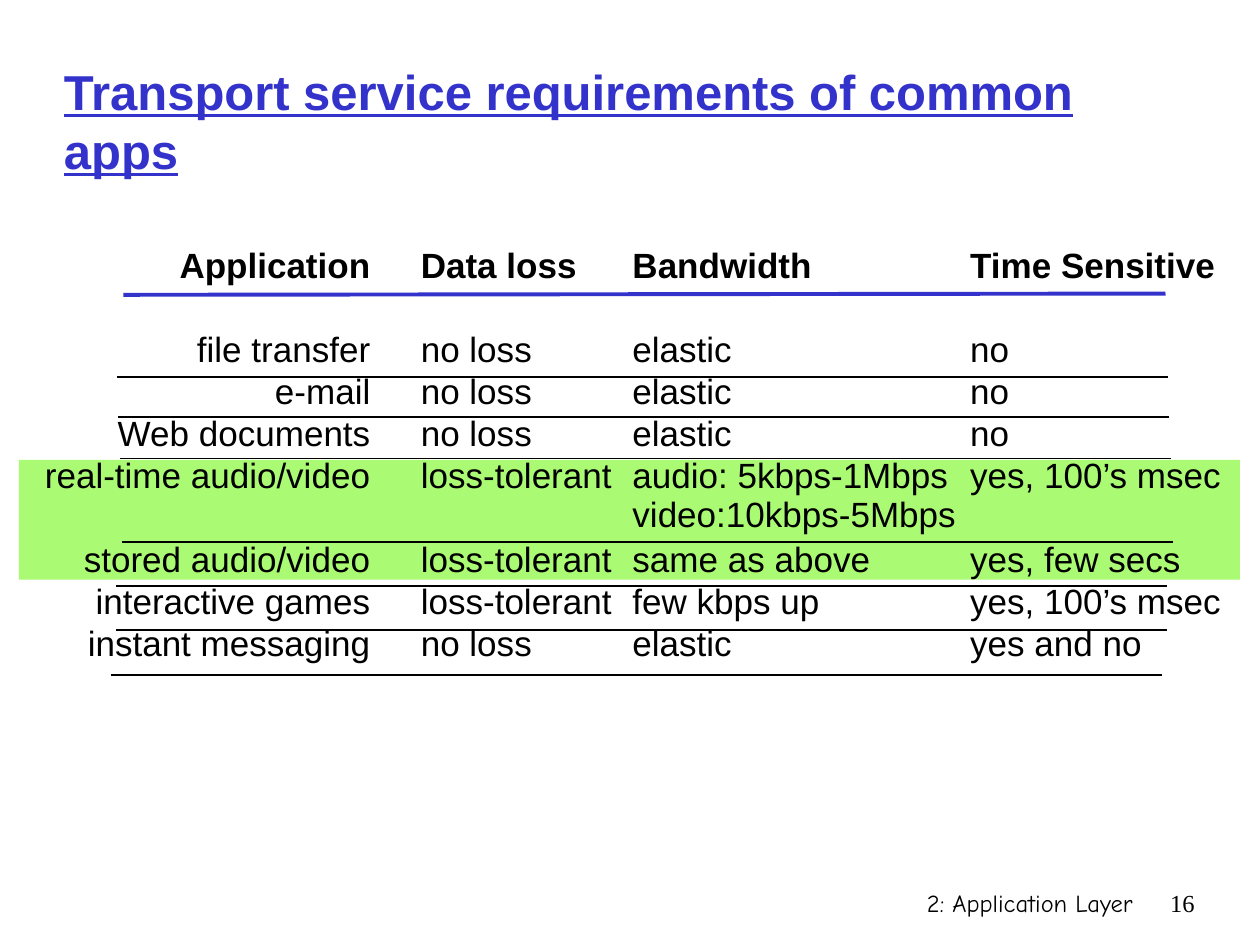
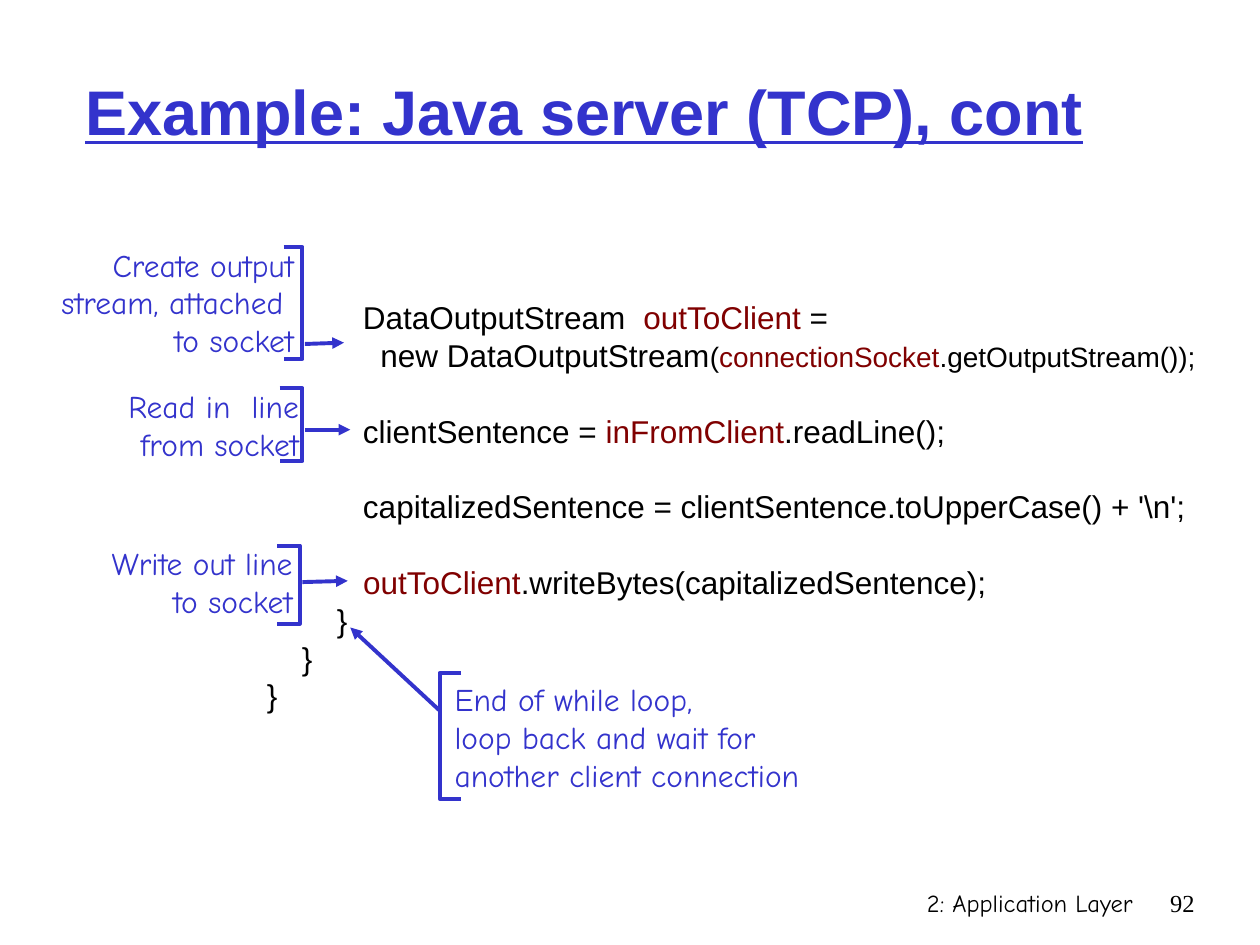
from lxml.etree import SubElement
from pptx import Presentation
from pptx.dml.color import RGBColor
from pptx.enum.shapes import MSO_CONNECTOR as Connector, MSO_SHAPE as Shape
from pptx.enum.text import MSO_ANCHOR as Anchor, PP_ALIGN as Align
from pptx.oxml.ns import qn
from pptx.util import Inches, Pt

COLORS = {
    "blue": "3333CC",
    "black": "000000",
    "green": "AAFA73",
    "maroon": "800000",
}
BODY_FONT = "Arial"
NOTE_FONT = "Comic Neue"
NUMBER_FONT = "Times New Roman"
ROW_HEIGHT = 0.333
CODE_SIZE = 18
BLANK_LINE = Pt(CODE_SIZE * 1.2)

REQUIREMENTS = [
    ("Application", "Data loss", "Bandwidth", "Time Sensitive"),
    ("file transfer", "no loss", "elastic", "no"),
    ("e-mail", "no loss", "elastic", "no"),
    ("Web documents", "no loss", "elastic", "no"),
    ("real-time audio/video", "loss-tolerant",
     "audio: 5kbps-1Mbps\nvideo:10kbps-5Mbps", "yes, 100’s msec"),
    ("stored audio/video", "loss-tolerant", "same as above", "yes, few secs"),
    ("interactive games", "loss-tolerant", "few kbps up", "yes, 100’s msec"),
    ("instant messaging", "no loss", "elastic", "yes and no"),
]
COLUMN_WIDTHS = (3.09, 1.68, 2.68, 2.24)
DOUBLE_ROWS = (0, 4)
ROW_RULES = [(0.93, 2.99), (0.94, 3.31), (0.95, 3.64), (0.97, 4.3),
             (0.92, 4.65), (0.92, 5), (0.88, 5.36)]
RULE_LENGTH = 8.34

# Each line: whether a blank line precedes it, then runs of (text, color, size).
CODE_LINES = [
    (False, [("           DataOutputStream  ", "black", 18),
             ("outToClient", "maroon", 18), (" =", "black", 18)]),
    (False, [("             new DataOutputStream", "black", 18),
             ("(", "black", 16), ("connectionSocket", "maroon", 16),
             (".getOutputStream());", "black", 16)]),
    (True, [("           clientSentence = ", "black", 18),
            ("inFromClient", "maroon", 18), (".readLine();", "black", 18)]),
    (True, [("           capitalizedSentence = clientSentence.toUpperCase() + '\\n';",
             "black", 18)]),
    (True, [("           ", "black", 18), ("outToClient", "maroon", 18),
            (".writeBytes(capitalizedSentence);", "black", 18)]),
    (False, [("        }", "black", 18)]),
    (False, [("    }", "black", 18)]),
    (False, [("}", "black", 18)]),
]


def rgb(name):
    return RGBColor.from_string(COLORS[name])


def format_run(run, size, font=BODY_FONT, color="black", bold=False, underline=False):
    run.font.size = Pt(size)
    run.font.name = font
    run.font.color.rgb = rgb(color)
    run.font.bold = bold
    run.font.underline = underline


def format_text(text_frame, size, align=Align.LEFT, **style):
    for paragraph in text_frame.paragraphs:
        paragraph.alignment = align
        for run in paragraph.runs:
            format_run(run, size, **style)


def add_text(slide, box, text, size, align=Align.LEFT, anchor=Anchor.TOP, **style):
    shape = slide.shapes.add_textbox(*map(Inches, box))
    text_frame = shape.text_frame
    text_frame.word_wrap = True
    text_frame.vertical_anchor = anchor
    text_frame.text = text
    format_text(text_frame, size, align, **style)
    return text_frame


def add_slide(presentation, title, title_box, title_size, number):
    """Add a blank slide with the shared title style and footer."""
    slide = presentation.slides.add_slide(presentation.slide_layouts[6])
    add_text(slide, (5.92, 7, 3.17, 0.5), "2: Application Layer", 14,
             Align.RIGHT, font=NOTE_FONT)
    add_text(slide, (9.08, 7, 0.5, 0.5), str(number), 14,
             Align.RIGHT, font=NUMBER_FONT)
    add_text(slide, title_box, title, title_size, anchor=Anchor.MIDDLE,
             color="blue", bold=True, underline=True)
    return slide


def add_line(slide, start, end, color="blue", width=2.25, arrow=False):
    connector = slide.shapes.add_connector(
        Connector.STRAIGHT, *map(Inches, (*start, *end)))
    connector.line.color.rgb = rgb(color)
    connector.line.width = Pt(width)
    properties = connector._element.spPr
    if arrow:
        SubElement(properties.find(qn("a:ln")), qn("a:tailEnd"), type="triangle")
    SubElement(properties, qn("a:effectLst"))


def add_bracket(slide, tip_x, spine_x, top, bottom):
    """Draw a square bracket whose two tips point from the spine to tip_x."""
    points = [(tip_x, top), (spine_x, top), (spine_x, bottom), (tip_x, bottom)]
    corners = [(Inches(x), Inches(y)) for x, y in points]
    builder = slide.shapes.build_freeform(*corners[0])
    builder.add_line_segments(corners[1:], close=False)
    bracket = builder.convert_to_shape()
    bracket.shadow.inherit = False
    bracket.fill.background()
    bracket.line.color.rgb = rgb("blue")
    bracket.line.width = Pt(2.25)


def add_highlight(slide, box):
    band = slide.shapes.add_shape(Shape.RECTANGLE, *map(Inches, box))
    band.shadow.inherit = False
    band.fill.solid()
    band.fill.fore_color.rgb = rgb("green")
    band.line.fill.background()


def clear_cell(cell):
    """Remove the borders and the fill of a table cell."""
    properties = cell._tc.get_or_add_tcPr()
    for side in ("a:lnL", "a:lnR", "a:lnT", "a:lnB"):
        SubElement(SubElement(properties, qn(side)), qn("a:noFill"))
    cell.fill.background()


def add_requirements_table(slide, left, top):
    heights = [ROW_HEIGHT * (2 if row in DOUBLE_ROWS else 1)
               for row in range(len(REQUIREMENTS))]
    table = slide.shapes.add_table(
        len(REQUIREMENTS), len(COLUMN_WIDTHS), Inches(left), Inches(top),
        Inches(sum(COLUMN_WIDTHS)), Inches(sum(heights))).table
    table.first_row = table.horz_banding = False
    for column, width in zip(table.columns, COLUMN_WIDTHS):
        column.width = Inches(width)
    for row_index, (values, height) in enumerate(zip(REQUIREMENTS, heights)):
        table.rows[row_index].height = Inches(height)
        for column_index, value in enumerate(values):
            is_application = column_index == 0
            cell = table.cell(row_index, column_index)
            clear_cell(cell)
            cell.margin_top = cell.margin_bottom = 0
            cell.margin_left = Inches(0 if is_application else 0.1)
            cell.margin_right = Inches(0.3 if is_application else 0)
            cell.text = value
            format_text(cell.text_frame, 20,
                        Align.RIGHT if is_application else Align.LEFT,
                        bold=row_index == 0)


def add_code(slide, box):
    text_frame = add_text(slide, box, "", CODE_SIZE)
    for index, (blank_before, runs) in enumerate(CODE_LINES):
        paragraph = text_frame.add_paragraph() if index else text_frame.paragraphs[0]
        if blank_before:
            paragraph.space_before = BLANK_LINE
        for text, color, size in runs:
            run = paragraph.add_run()
            run.text = text
            format_run(run, size, color=color)


def add_note(slide, box, text, align=Align.RIGHT):
    add_text(slide, box, text, CODE_SIZE, align, Anchor.MIDDLE,
             font=NOTE_FONT, color="blue")


def build_requirements_slide(presentation):
    slide = add_slide(presentation, "Transport service requirements of common apps",
                      (0.41, 0.33, 8.97, 1.25), 28, 16)
    add_highlight(slide, (0.15, 3.65, 9.69, 0.95))
    add_requirements_table(slide, 0.15, 1.96)
    add_line(slide, (0.98, 2.34), (9.25, 2.33))
    for left, y in ROW_RULES:
        add_line(slide, (left, y), (left + RULE_LENGTH, y), "black", 1)


def build_server_slide(presentation):
    slide = add_slide(presentation, "Example: Java server (TCP), cont",
                      (0.58, 0.25, 8.5, 1.25), 36, 92)
    add_code(slide, (2.02, 2.32, 7.8, 3.5))

    add_note(slide, (0.14, 1.9, 2.29, 1), "Create output\nstream, attached \nto socket")
    add_bracket(slide, 2.25, 2.4, 1.96, 2.85)
    add_line(slide, (2.42, 2.73), (2.73, 2.72), arrow=True)

    add_note(slide, (0.47, 3.02, 2, 0.7), "Read in  line\nfrom socket")
    add_bracket(slide, 2.22, 2.4, 3.08, 3.66)
    add_line(slide, (2.42, 3.41), (2.78, 3.41), arrow=True)

    add_note(slide, (0.42, 4.27, 2, 0.7), "Write out line\nto socket")
    add_bracket(slide, 2.2, 2.38, 4.33, 4.95)
    add_line(slide, (2.4, 4.62), (2.76, 4.61), arrow=True)

    add_note(slide, (3.51, 5.35, 3.5, 1),
             "End of while loop,\nloop back and wait for\nanother client connection",
             Align.LEFT)
    add_bracket(slide, 3.66, 3.49, 5.34, 6.34)
    add_line(slide, (3.49, 5.64), (2.78, 4.98), arrow=True)


def main():
    presentation = Presentation()
    presentation.slide_width = Inches(10)
    presentation.slide_height = Inches(7.5)
    build_requirements_slide(presentation)
    build_server_slide(presentation)
    presentation.save("out.pptx")


if __name__ == "__main__":
    main()
